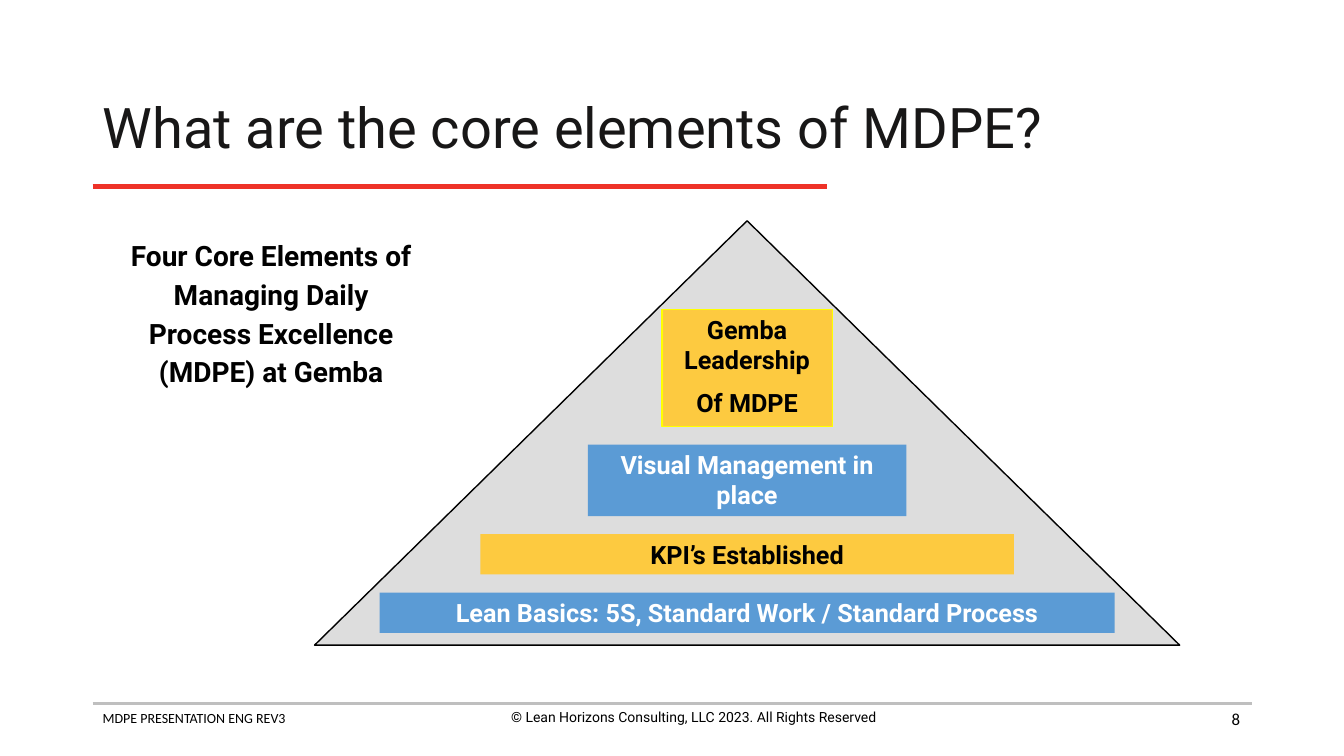
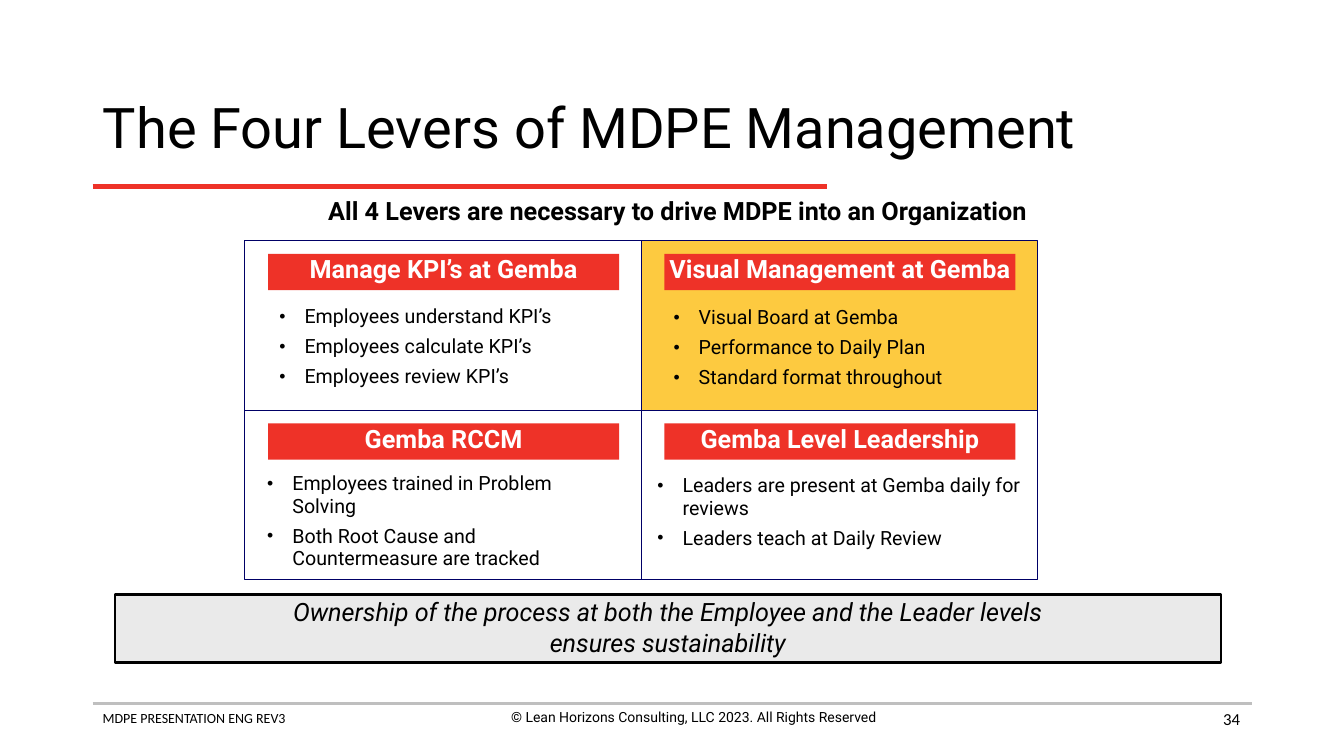
from dataclasses import dataclass

from lxml.etree import SubElement
from pptx import Presentation
from pptx.dml.color import RGBColor
from pptx.enum.shapes import MSO_CONNECTOR, MSO_SHAPE
from pptx.enum.text import MSO_ANCHOR as ANCHOR, MSO_AUTO_SIZE as AUTO_SIZE, PP_ALIGN as ALIGN
from pptx.oxml.ns import qn
from pptx.util import Inches, Pt

COLORS = {
    "black": "000000",
    "ink": "181717",
    "white": "FFFFFF",
    "red": "EE3228",
    "gold": "FDCA40",
    "yellow": "FFFF00",
    "blue": "5B9BD5",
    "navy": "000066",
    "rule": "BFBFBF",
    "pyramid": "DDDDDD",
    "panel": "EAEAEA",
}
TITLE_ONLY, COMPARISON = 5, 4


@dataclass(frozen=True)
class TextStyle:
    size: float
    color: str = "black"
    font: str = "Roboto"
    bold: bool = False
    italic: bool = False
    align: ALIGN = ALIGN.CENTER
    line_spacing: float = 1.0
    space_before: float = 0
    space_after: float = 0


@dataclass(frozen=True)
class Box:
    left: float
    top: float
    width: float
    height: float

    def lengths(self) -> tuple:
        return tuple(Inches(v) for v in (self.left, self.top, self.width, self.height))


@dataclass(frozen=True)
class Tier:
    lines: tuple[str, ...]
    width: float
    height: float
    fill: str
    color: str
    outline: str | None = None


@dataclass(frozen=True)
class Lever:
    heading: str
    points: tuple[str, ...]
    points_box: Box
    fill: str | None = None


TIERS = (
    Tier(("Gemba Leadership", "Of MDPE"), 1.69, 1.16, "gold", "black", "yellow"),
    Tier(("Visual Management in place",), 3.16, 0.71, "blue", "white"),
    Tier(("KPI’s Established",), 5.29, 0.4, "gold", "black"),
    Tier(("Lean Basics: 5S, Standard Work / Standard Process",), 7.29, 0.4, "blue", "white"),
)

# Row by row, two levers in each row.
LEVERS = (
    Lever("Manage KPI’s at Gemba",
          ("Employees understand KPI’s", "Employees calculate KPI’s", "Employees review KPI’s"),
          Box(2.69, 2.99, 3.37, 0.94)),
    Lever("Visual Management at Gemba",
          ("Visual Board at Gemba", "Performance to Daily Plan", "Standard format throughout"),
          Box(6.6, 3, 3.49, 0.94), "gold"),
    Lever("Gemba RCCM",
          ("Employees trained in Problem Solving",
           "Both Root Cause and Countermeasure are tracked"),
          Box(2.57, 4.65, 3.58, 1.07)),
    Lever("Gemba Level Leadership",
          ("Leaders are present at Gemba daily for reviews", "Leaders teach at Daily Review"),
          Box(6.44, 4.67, 3.78, 0.85)),
)


def rgb(name: str) -> RGBColor:
    return RGBColor.from_string(COLORS[name])


def add_bullet(paragraph) -> None:
    properties = paragraph._p.get_or_add_pPr()
    properties.set("marL", str(Inches(0.25)))
    properties.set("indent", str(Inches(-0.25)))
    color = SubElement(properties, qn("a:buClr"))
    SubElement(color, qn("a:srgbClr"), val=COLORS["black"])
    SubElement(properties, qn("a:buSzPct"), val="90000")
    SubElement(properties, qn("a:buFont"), typeface="Arial")
    SubElement(properties, qn("a:buChar"), char="•")


def write(shape, lines: tuple[str, ...], style: TextStyle, anchor: ANCHOR = ANCHOR.TOP,
          wrap: bool = True, bulleted: bool = False) -> None:
    """Fill a shape with one paragraph per line; a newline inside a line is a soft break."""
    frame = shape.text_frame
    frame.auto_size = AUTO_SIZE.NONE
    frame.word_wrap = wrap
    frame.vertical_anchor = anchor
    for index, line in enumerate(lines):
        paragraph = frame.add_paragraph() if index else frame.paragraphs[0]
        if bulleted:
            add_bullet(paragraph)
        paragraph.alignment = style.align
        paragraph.line_spacing = style.line_spacing
        paragraph.space_before = Pt(style.space_before if index else 0)
        paragraph.space_after = Pt(style.space_after)
        for part_index, part in enumerate(line.split("\n")):
            if part_index:
                paragraph.add_line_break()
            run = paragraph.add_run()
            run.text = part
            run.font.name = style.font
            run.font.size = Pt(style.size)
            run.font.bold = style.bold
            run.font.italic = style.italic
            run.font.color.rgb = rgb(style.color)


def place(shape, box: Box) -> None:
    shape.left, shape.top, shape.width, shape.height = box.lengths()


def add_label(slide, box: Box, text: str, style: TextStyle, anchor: ANCHOR = ANCHOR.TOP) -> None:
    write(slide.shapes.add_textbox(*box.lengths()), (text,), style, anchor)


def add_block(slide, box: Box, fill: str | None = None, outline: str | None = None,
              weight: float = 1, kind: MSO_SHAPE = MSO_SHAPE.RECTANGLE):
    block = slide.shapes.add_shape(kind, *box.lengths())
    block.shadow.inherit = False
    if fill:
        block.fill.solid()
        block.fill.fore_color.rgb = rgb(fill)
    else:
        block.fill.background()
    if outline:
        block.line.color.rgb = rgb(outline)
        block.line.width = Pt(weight)
    else:
        block.line.fill.background()
    return block


def add_rule(slide, top: float, right: float, color: str, weight: float) -> None:
    rule = slide.shapes.add_connector(
        MSO_CONNECTOR.STRAIGHT, Inches(0.92), Inches(top), Inches(right), Inches(top))
    rule.line.color.rgb = rgb(color)
    rule.line.width = Pt(weight)
    SubElement(rule._element.spPr, qn("a:effectLst"))


def start_slide(deck, layout: int, title: str, number: str, title_color: str = "black"):
    """Add a slide with the title, rules and footer that all slides share."""
    slide = deck.slides.add_slide(deck.slide_layouts[layout])
    heading = slide.shapes.title
    place(heading, Box(0.92, 0.74, 11.5, 1.1))
    write(heading, (title,),
          TextStyle(40, title_color, align=ALIGN.LEFT, line_spacing=0.9), ANCHOR.MIDDLE)
    add_rule(slide, 1.85, 8.2, "red", 3)
    add_rule(slide, 6.98, 12.42, "rule", 2)
    add_label(slide, Box(0.92, 6.99, 4.56, 0.44), "MDPE PRESENTATION ENG REV3",
              TextStyle(10, font="Calibri", align=ALIGN.LEFT))
    add_label(slide, Box(4.6, 6.98, 4.56, 0.44),
              "© Lean Horizons Consulting, LLC 2023. All Rights Reserved", TextStyle(10))
    add_label(slide, Box(9.4, 6.93, 3, 0.4), number,
              TextStyle(12, font="Calibri", align=ALIGN.RIGHT), ANCHOR.MIDDLE)
    return slide


def build_core_elements(deck) -> None:
    slide = start_slide(deck, TITLE_ONLY, "What are the core elements of MDPE?", "8", "ink")
    pyramid = Box(3.12, 2.19, 8.58, 4.21)
    add_block(slide, pyramid, "pyramid", "black", kind=MSO_SHAPE.ISOSCELES_TRIANGLE)
    center = pyramid.left + pyramid.width / 2
    top, gap = 3.07, 0.18
    for tier in TIERS:
        box = Box(center - tier.width / 2, top, tier.width, tier.height)
        block = add_block(slide, box, tier.fill, tier.outline)
        write(block, tier.lines, TextStyle(18, tier.color, bold=True, space_before=9))
        top += tier.height + gap
    add_label(slide, Box(1.16, 2.27, 3.06, 1.62),
              "Four Core Elements of Managing Daily Process Excellence (MDPE) at Gemba",
              TextStyle(20, bold=True, line_spacing=1.15))


def build_four_levers(deck) -> None:
    slide = start_slide(deck, COMPARISON, "The Four Levers of MDPE Management", "34")
    add_label(slide, Box(1.24, 1.96, 10.96, 0.31),
              "All 4 Levers are necessary to drive MDPE into an Organization",
              TextStyle(18, bold=True, line_spacing=0.75))
    heading_style = TextStyle(18, "white", bold=True, line_spacing=0.75)
    points_style = TextStyle(14, align=ALIGN.LEFT, line_spacing=0.95,
                             space_before=2.8, space_after=2.8)
    cell_width, cell_height = 3.93, 1.68
    for index, lever in enumerate(LEVERS):
        row, column = divmod(index, 2)
        left, top = 2.43 + column * cell_width, 2.39 + row * cell_height
        add_block(slide, Box(left, top, cell_width, cell_height), lever.fill, "navy", 0.75)
        heading = add_block(slide, Box(left + 0.23, top + 0.13, 3.48, 0.36), "red")
        write(heading, (lever.heading,), heading_style, ANCHOR.MIDDLE, wrap=False)
        points = slide.placeholders[index + 1]
        place(points, lever.points_box)
        write(points, lever.points, points_style, bulleted=True)
        frame = points.text_frame
        frame.margin_left = frame.margin_right = Inches(0.08)
        frame.margin_top = frame.margin_bottom = Inches(0.04)
        heading._element.addnext(points._element)  # keeps the list in front of its cell
    ownership = add_block(slide, Box(1.14, 5.9, 10.97, 0.67), "panel", "black", 2)
    write(ownership,
          ("Ownership of the process at both the Employee and the Leader levels\n"
           "ensures sustainability",),
          TextStyle(18, italic=True), ANCHOR.BOTTOM)


def main() -> None:
    deck = Presentation()
    deck.slide_width, deck.slide_height = Inches(13.33), Inches(7.5)
    build_core_elements(deck)
    build_four_levers(deck)
    deck.save("out.pptx")


if __name__ == "__main__":
    main()
